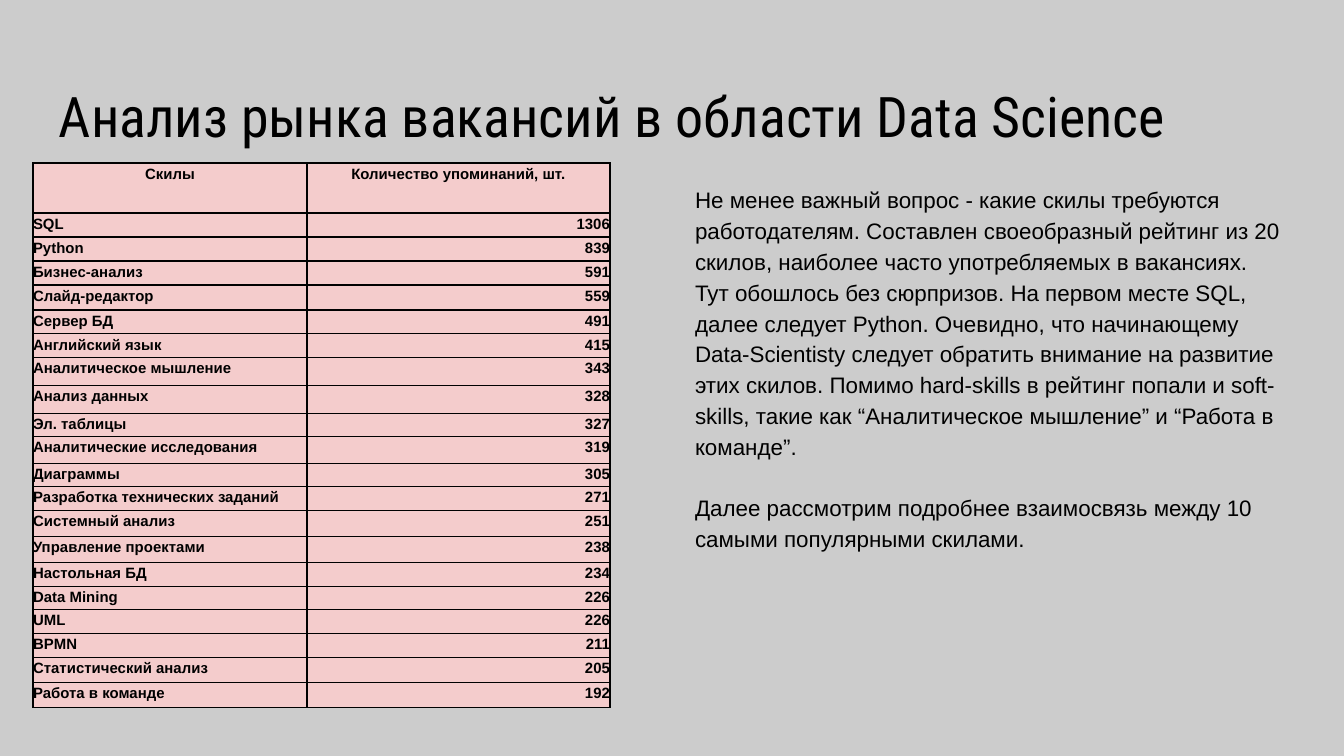
from dataclasses import dataclass

from lxml.etree import SubElement
from pptx import Presentation
from pptx.dml.color import RGBColor
from pptx.enum.text import MSO_ANCHOR, PP_ALIGN
from pptx.oxml.ns import qn
from pptx.util import Pt

PX = 6804


@dataclass(frozen=True)
class Theme:
    background: str = "CCCCCC"
    ink: str = "000000"
    cell: str = "F4CCCC"
    title_font: str = "Roboto Condensed"
    body_font: str = "Arial"
    title_size: int = 30
    body_size: int = 12
    table_size: int = 8
    border_width: float = 0.75
    line_spacing: float = 1.15
    paragraph_gap: int = 16


THEME = Theme()

TITLE = "Анализ рынка вакансий в области Data Science"
COMMENTARY = [
    "Не менее важный вопрос - какие скилы требуются работодателям. "
    "Составлен своеобразный рейтинг из 20 скилов, наиболее часто "
    "употребляемых в вакансиях. Тут обошлось без сюрпризов. На первом "
    "месте SQL, далее следует Python. Очевидно, что начинающему "
    "Data-Scientistу следует обратить внимание на развитие этих скилов. "
    "Помимо hard-skills в рейтинг попали и soft-skills, такие как "
    "“Аналитическое мышление” и “Работа в команде”.",
    "Далее рассмотрим подробнее взаимосвязь между 10 самыми популярными скилами.",
]
HEADER = ("Скилы", "Количество упоминаний, шт.")
HEADER_HEIGHT = 50
SKILLS = [
    ("SQL", 1306, 24),
    ("Python", 839, 24),
    ("Бизнес-анализ", 591, 24),
    ("Слайд-редактор", 559, 25),
    ("Сервер БД", 491, 24),
    ("Английский язык", 415, 24),
    ("Аналитическое мышление", 343, 28),
    ("Анализ данных", 328, 28),
    ("Эл. таблицы", 327, 23),
    ("Аналитические исследования", 319, 27),
    ("Диаграммы", 305, 23),
    ("Разработка технических заданий", 271, 24),
    ("Системный анализ", 251, 26),
    ("Управление проектами", 238, 26),
    ("Настольная БД", 234, 24),
    ("Data Mining", 226, 23),
    ("UML", 226, 24),
    ("BPMN", 211, 24),
    ("Статистический анализ", 205, 25),
    ("Работа в команде", 192, 25),
]
COLUMN_WIDTHS = (274, 303)


def px(*lengths):
    return [length * PX for length in lengths]


def format_paragraph(paragraph, font_name, size, bold=False):
    for run in paragraph.runs:
        run.font.name = font_name
        run.font.size = Pt(size)
        run.font.bold = bold
        run.font.color.rgb = RGBColor.from_string(THEME.ink)


def add_text_frame(slide, box):
    text_frame = slide.shapes.add_textbox(*px(*box)).text_frame
    text_frame.word_wrap = True
    text_frame.vertical_anchor = MSO_ANCHOR.TOP
    text_frame.margin_left = text_frame.margin_right = 13 * PX
    text_frame.margin_top = text_frame.margin_bottom = 13 * PX
    return text_frame


def add_title(slide, box):
    text_frame = add_text_frame(slide, box)
    text_frame.text = TITLE
    format_paragraph(text_frame.paragraphs[0], THEME.title_font, THEME.title_size)


def add_commentary(slide, box):
    text_frame = add_text_frame(slide, box)
    text_frame.text = "\n".join(COMMENTARY)
    for index, paragraph in enumerate(text_frame.paragraphs):
        paragraph.line_spacing = THEME.line_spacing
        if index:
            paragraph.space_before = Pt(THEME.paragraph_gap)
        format_paragraph(paragraph, THEME.body_font, THEME.body_size)


def add_borders(cell):
    properties = cell._tc.get_or_add_tcPr()
    for position, side in enumerate(("a:lnL", "a:lnR", "a:lnT", "a:lnB")):
        line = properties.makeelement(qn(side), {"w": str(Pt(THEME.border_width))})
        properties.insert(position, line)
        fill = SubElement(line, qn("a:solidFill"))
        SubElement(fill, qn("a:srgbClr"), val=THEME.ink)


def fill_cell(cell, text, alignment):
    cell.margin_left = cell.margin_right = cell.margin_top = cell.margin_bottom = 0
    cell.fill.solid()
    cell.fill.fore_color.rgb = RGBColor.from_string(THEME.cell)
    add_borders(cell)
    cell.text_frame.text = text
    paragraph = cell.text_frame.paragraphs[0]
    paragraph.alignment = alignment
    paragraph.line_spacing = THEME.line_spacing
    format_paragraph(paragraph, THEME.body_font, THEME.table_size, bold=True)


def add_skill_table(slide, left, top):
    heights = [HEADER_HEIGHT] + [height for _, _, height in SKILLS]
    box = px(left, top, sum(COLUMN_WIDTHS), sum(heights))
    table = slide.shapes.add_table(len(heights), len(COLUMN_WIDTHS), *box).table
    table.first_row = table.horz_banding = False
    for column, width in zip(table.columns, COLUMN_WIDTHS):
        column.width = width * PX
    for row, height in zip(table.rows, heights):
        row.height = height * PX
    for column, label in enumerate(HEADER):
        fill_cell(table.cell(0, column), label, PP_ALIGN.CENTER)
    for row, (skill, mentions, _) in enumerate(SKILLS, start=1):
        fill_cell(table.cell(row, 0), skill, PP_ALIGN.LEFT)
        fill_cell(table.cell(row, 1), str(mentions), PP_ALIGN.RIGHT)


def main():
    presentation = Presentation()
    presentation.slide_width, presentation.slide_height = px(1344, 756)
    slide = presentation.slides.add_slide(presentation.slide_layouts[6])
    slide.background.fill.solid()
    slide.background.fill.fore_color.rgb = RGBColor.from_string(THEME.background)
    add_title(slide, (46, 69, 1253, 85))
    add_commentary(slide, (682, 169, 617, 503))
    add_skill_table(slide, 33, 163)
    presentation.save("out.pptx")


if __name__ == "__main__":
    main()
